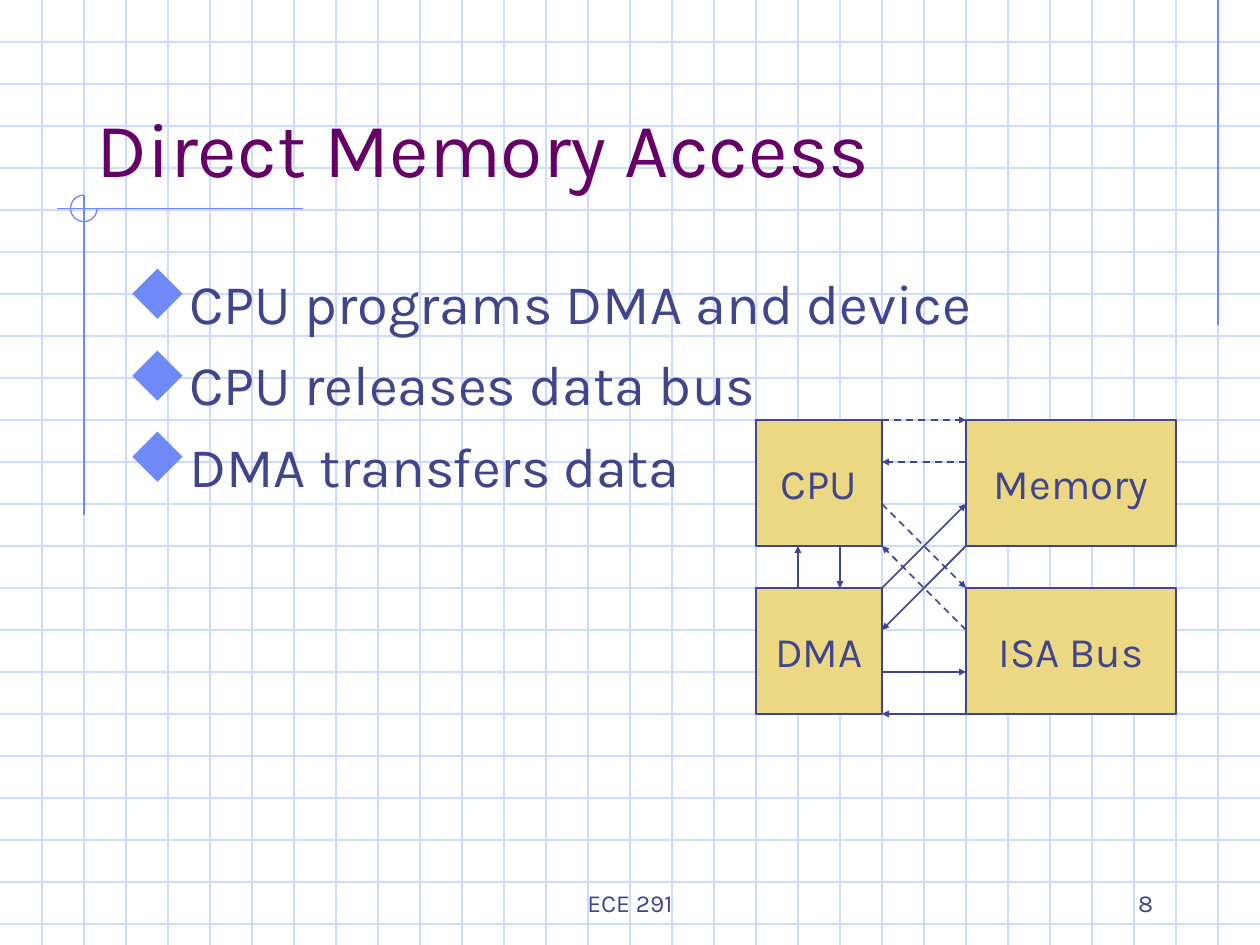
from lxml.etree import SubElement
from pptx import Presentation
from pptx.dml.color import RGBColor
from pptx.enum.dml import MSO_LINE
from pptx.enum.shapes import MSO_CONNECTOR, MSO_SHAPE
from pptx.enum.text import MSO_ANCHOR, PP_ALIGN
from pptx.oxml.ns import qn
from pptx.util import Pt

GRID_BLUE = RGBColor(0xCF, 0xDB, 0xFD)
ACCENT = RGBColor(0x6F, 0x89, 0xF7)
INDIGO = RGBColor(0x40, 0x45, 0x8C)
PURPLE = RGBColor(0x66, 0x00, 0x66)
SAND = RGBColor(0xEC, 0xD8, 0x82)

FONT = "Karla"
BULLET_FONT, DIAMOND = "Wingdings", "u"
WIDTH, HEIGHT, CELL = 720, 540, 24

TITLE = "Direct Memory Access"
POINTS = ["CPU programs DMA and device", "CPU releases data bus", "DMA transfers data"]
COURSE, PAGE = "ECE 291", "8"

BLOCKS = [
    ("CPU", 18, 10, 3, 3),
    ("Memory", 23, 10, 5, 3),
    ("DMA", 18, 14, 3, 3),
    ("ISA Bus", 23, 14, 5, 3),
]
CPU_TRANSFERS = [
    (21, 10, 23, 10), (23, 11, 21, 11),
    (21, 12, 23, 14), (23, 15, 21, 13),
]
DMA_TRANSFERS = [
    (21, 16, 23, 16), (23, 17, 21, 17),
    (21, 14, 23, 12), (23, 13, 21, 15),
    (20, 13, 20, 14), (19, 14, 19, 13),
]
RULES = [(696, 0, 696, 186), (173, 119, 32.5, 119), (48, 111.5, 48, 294.5)]
RING_X, RING_Y, RING_SIZE = 40.3, 111.5, 15.2

prs = Presentation()
prs.slide_width, prs.slide_height = Pt(WIDTH), Pt(HEIGHT)
slide = prs.slides.add_slide(prs.slide_layouts[6])


def add_line(ends, color, weight=0.75):
    line = slide.shapes.add_connector(MSO_CONNECTOR.STRAIGHT, *map(Pt, ends))
    line.line.color.rgb = color
    line.line.width = Pt(weight)
    SubElement(line._element.spPr, qn("a:effectLst"))
    return line


def add_arrow(cells, dashed):
    arrow = add_line([cell * CELL for cell in cells], INDIGO, 1)
    if dashed:
        arrow.line.dash_style = MSO_LINE.DASH
    SubElement(arrow.line._get_or_add_ln(), qn("a:tailEnd"),
               type="triangle", w="sm", len="sm")


def write(paragraph, text, size, color=INDIGO, align=PP_ALIGN.LEFT):
    paragraph.alignment = align
    run = paragraph.add_run()
    run.text = text
    run.font.name = FONT
    run.font.size = Pt(size)
    run.font.color.rgb = color


def add_frame(box, anchor=MSO_ANCHOR.BOTTOM):
    frame = slide.shapes.add_textbox(*map(Pt, box)).text_frame
    frame.word_wrap = True
    frame.vertical_anchor = anchor
    return frame


def add_bullet(paragraph):
    props = paragraph._p.get_or_add_pPr()
    props.set("marL", str(Pt(27)))
    props.set("indent", str(-Pt(27)))
    color = SubElement(props, qn("a:buClr"))
    SubElement(color, qn("a:srgbClr"), val=str(ACCENT))
    SubElement(props, qn("a:buSzPct"), val="110000")
    SubElement(props, qn("a:buFont"), typeface=BULLET_FONT,
               pitchFamily="2", charset="2")
    SubElement(props, qn("a:buChar"), char=DIAMOND)


for y in range(CELL, HEIGHT, CELL):
    add_line((0, y, WIDTH, y), GRID_BLUE)
for x in range(CELL, WIDTH, CELL):
    add_line((x, 0, x, HEIGHT), GRID_BLUE)
for rule in RULES:
    add_line(rule, ACCENT)

ring = slide.shapes.add_shape(
    MSO_SHAPE.ARC, Pt(RING_X), Pt(RING_Y), Pt(RING_SIZE), Pt(RING_SIZE))
ring.adjustments[0], ring.adjustments[1] = 0, 162
ring.fill.background()
ring.line.color.rgb = ACCENT
ring.line.width = Pt(0.75)
ring.shadow.inherit = False

write(add_frame((48, 24, 612, 90)).paragraphs[0], TITLE, 44, PURPLE)

body = add_frame((66, 150, 612, 324), MSO_ANCHOR.TOP)
for index, point in enumerate(POINTS):
    paragraph = body.add_paragraph() if index else body.paragraphs[0]
    write(paragraph, point, 32)
    paragraph.space_before = Pt(8)
    add_bullet(paragraph)

for label, *cells in BLOCKS:
    block = slide.shapes.add_shape(
        MSO_SHAPE.RECTANGLE, *(Pt(cell * CELL) for cell in cells))
    block.fill.solid()
    block.fill.fore_color.rgb = SAND
    block.line.color.rgb = INDIGO
    block.line.width = Pt(1)
    block.shadow.inherit = False
    block.text_frame.vertical_anchor = MSO_ANCHOR.MIDDLE
    write(block.text_frame.paragraphs[0], label, 24, align=PP_ALIGN.CENTER)

for cells in CPU_TRANSFERS:
    add_arrow(cells, dashed=True)
for cells in DMA_TRANSFERS:
    add_arrow(cells, dashed=False)

write(add_frame((246, 492, 228, 36)).paragraphs[0], COURSE, 14, align=PP_ALIGN.CENTER)
write(add_frame((516, 492, 150, 36)).paragraphs[0], PAGE, 14, align=PP_ALIGN.RIGHT)

prs.save("out.pptx")
